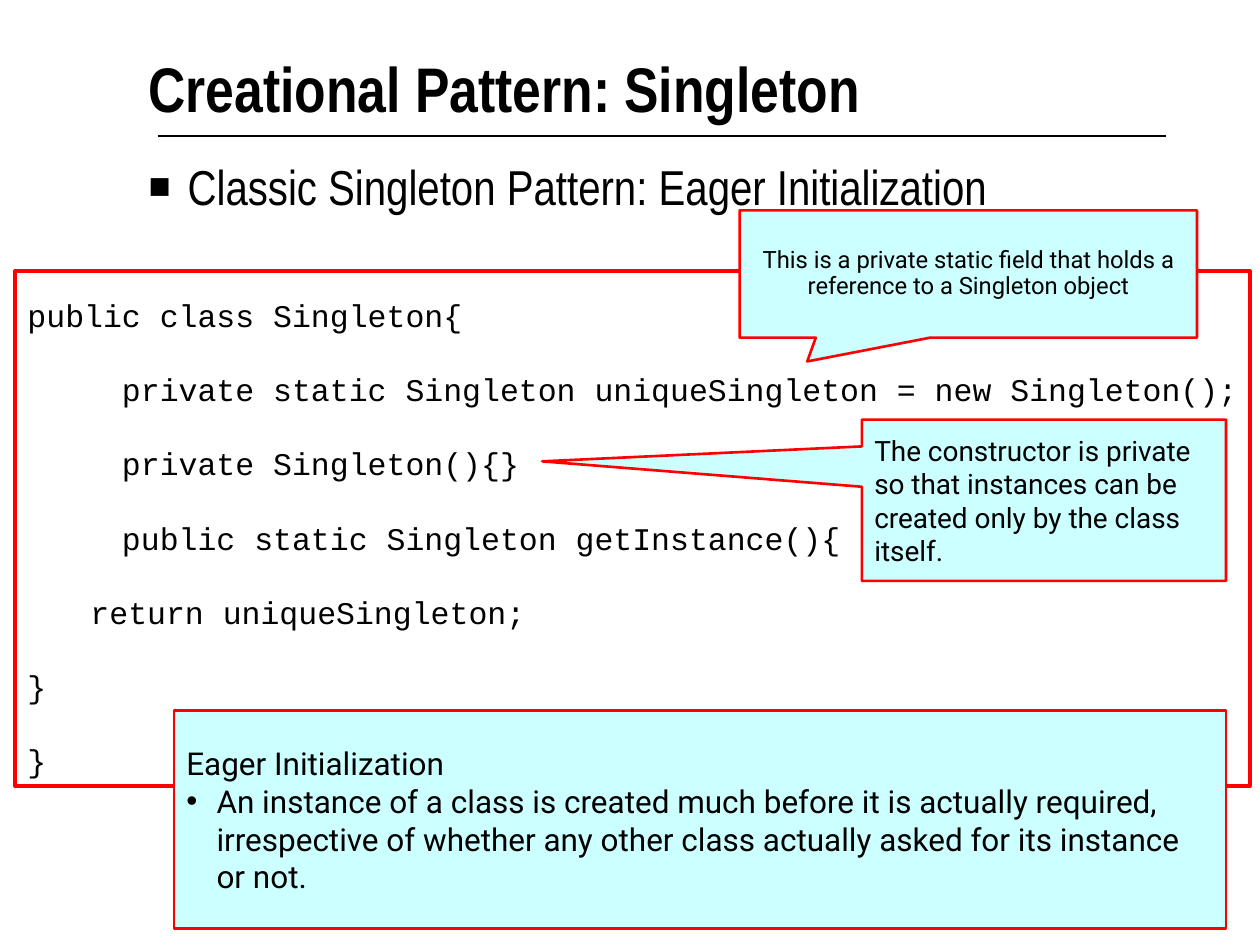
from dataclasses import dataclass

from lxml import etree
from pptx import Presentation
from pptx.dml.color import RGBColor
from pptx.enum.shapes import MSO_CONNECTOR, MSO_SHAPE
from pptx.enum.text import MSO_ANCHOR, PP_ALIGN
from pptx.oxml.ns import qn
from pptx.util import Inches, Pt

RECT = MSO_SHAPE.RECTANGLE
CALLOUT = MSO_SHAPE.RECTANGULAR_CALLOUT
STRAIGHT = MSO_CONNECTOR.STRAIGHT
TOP, MIDDLE = MSO_ANCHOR.TOP, MSO_ANCHOR.MIDDLE
LEFT, CENTER = PP_ALIGN.LEFT, PP_ALIGN.CENTER


@dataclass(frozen=True)
class Theme:
    ink: RGBColor = RGBColor(0, 0, 0)
    paper: RGBColor = RGBColor(255, 255, 255)
    note: RGBColor = RGBColor(0xCC, 0xFF, 0xFF)
    accent: RGBColor = RGBColor(255, 0, 0)
    heading_font: str = "Arial Narrow"
    code_font: str = "Courier New"
    note_font: str = "Roboto"
    title_size: float = 36
    subtitle_size: float = 28
    body_size: float = 18
    callout_size: float = 16
    small_size: float = 13.6


THEME = Theme()


@dataclass(frozen=True)
class Panel:
    """A red-bordered box, or a callout when it has a pointer."""
    box: tuple[float, float, float, float]
    fill: RGBColor = THEME.note
    border: float = 1.5
    anchor: MSO_ANCHOR = MIDDLE
    pointer: tuple[float, float] | None = None


def add_bullet(p, char: str, indent: float, percent: int) -> None:
    pPr = p._p.get_or_add_pPr()
    pPr.set("marL", str(Inches(indent)))
    pPr.set("indent", str(-Inches(indent)))
    color = etree.SubElement(pPr, qn("a:buClr"))
    etree.SubElement(color, qn("a:srgbClr"), val=str(THEME.ink))
    etree.SubElement(pPr, qn("a:buSzPct"), val=str(percent * 1000))
    etree.SubElement(pPr, qn("a:buFont"), typeface="Arial")
    etree.SubElement(pPr, qn("a:buChar"), char=char)


def write(tf, text: str, *, font: str, size: float, bold: bool = False,
          align: PP_ALIGN = LEFT, line: float = 1.0, after: float = 0,
          bullet: str = "", indent: float = 0, percent: int = 100) -> None:
    """Write one paragraph, using the empty first one if there is one."""
    p = tf.paragraphs[0]
    if p.runs:
        p = tf.add_paragraph()
    if bullet:
        add_bullet(p, bullet, indent, percent)
    p.alignment, p.line_spacing, p.space_after = align, line, Pt(after)
    r = p.add_run()
    r.text = text
    r.font.name, r.font.size, r.font.bold = font, Pt(size), bold
    r.font.color.rgb = THEME.ink


def add_heading(s, box: tuple[float, float, float, float]):
    tf = s.shapes.add_textbox(*map(Inches, box)).text_frame
    tf.word_wrap = True
    tf.margin_left = tf.margin_top = tf.margin_right = tf.margin_bottom = 0
    return tf


def add_panel(s, panel: Panel):
    kind = CALLOUT if panel.pointer else RECT
    sp = s.shapes.add_shape(kind, *map(Inches, panel.box))
    sp.shadow.inherit = False
    sp.fill.solid()
    sp.fill.fore_color.rgb = panel.fill
    sp.line.color.rgb = THEME.accent
    sp.line.width = Pt(panel.border)
    if panel.pointer:
        sp.adjustments[0], sp.adjustments[1] = panel.pointer
    tf = sp.text_frame
    tf.word_wrap = True
    tf.vertical_anchor = panel.anchor
    return tf


CODE = (
    "public class Singleton{",
    "     private static Singleton uniqueSingleton = new Singleton();",
    "     private Singleton(){}",
    "     public static Singleton getInstance(){",
    "\treturn uniqueSingleton;",
    "}",
    "}",
)


def main() -> None:
    prs = Presentation()
    prs.slide_width, prs.slide_height = Inches(10), Inches(7.5)
    s = prs.slides.add_slide(prs.slide_layouts[6])

    # Heading, rule and subtitle
    rule = s.shapes.add_connector(
        STRAIGHT, Inches(1.25), Inches(1.08), Inches(9.25), Inches(1.08))
    rule.line.color.rgb = THEME.ink
    rule.line.width = Pt(0.75)
    etree.SubElement(rule._element.spPr, qn("a:effectLst"))
    write(add_heading(s, (1.18, 0.39, 7.65, 0.75)),
          "Creational Pattern: Singleton",
          font=THEME.heading_font, size=THEME.title_size, bold=True)
    write(add_heading(s, (1.18, 1.24, 8.25, 0.6)),
          "Classic Singleton Pattern: Eager Initialization",
          font=THEME.heading_font, size=THEME.subtitle_size,
          bullet="■", indent=0.31, percent=75)

    # Code listing
    code = add_panel(s, Panel((0.12, 2.15, 9.8, 4.09), THEME.paper, 2, TOP))
    for text in CODE:
        write(code, text, font=THEME.code_font, size=THEME.body_size,
              line=1.5, after=10)

    # Callouts on the constructor and the field
    write(add_panel(s, Panel((6.84, 3.33, 2.89, 1.28),
                             pointer=(-1.378, -0.241))),
          "The constructor is private so that instances can be created "
          "only by the class itself.",
          font=THEME.note_font, size=THEME.callout_size)
    write(add_panel(s, Panel((5.87, 1.67, 3.63, 1.01),
                             pointer=(-0.352, 0.687))),
          "This is a private static field that holds a reference to a "
          "Singleton object",
          font=THEME.note_font, size=THEME.small_size, align=CENTER, line=0.9)

    # Explanation of eager initialization
    note = add_panel(s, Panel((1.38, 5.64, 8.35, 1.73)))
    write(note, "Eager Initialization",
          font=THEME.note_font, size=THEME.body_size)
    write(note, "An instance of a class is created much before it is actually "
          "required, irrespective of whether any other class actually asked "
          "for its instance or not.",
          font=THEME.note_font, size=THEME.body_size, bullet="•", indent=0.24)

    prs.save("out.pptx")


if __name__ == "__main__":
    main()
